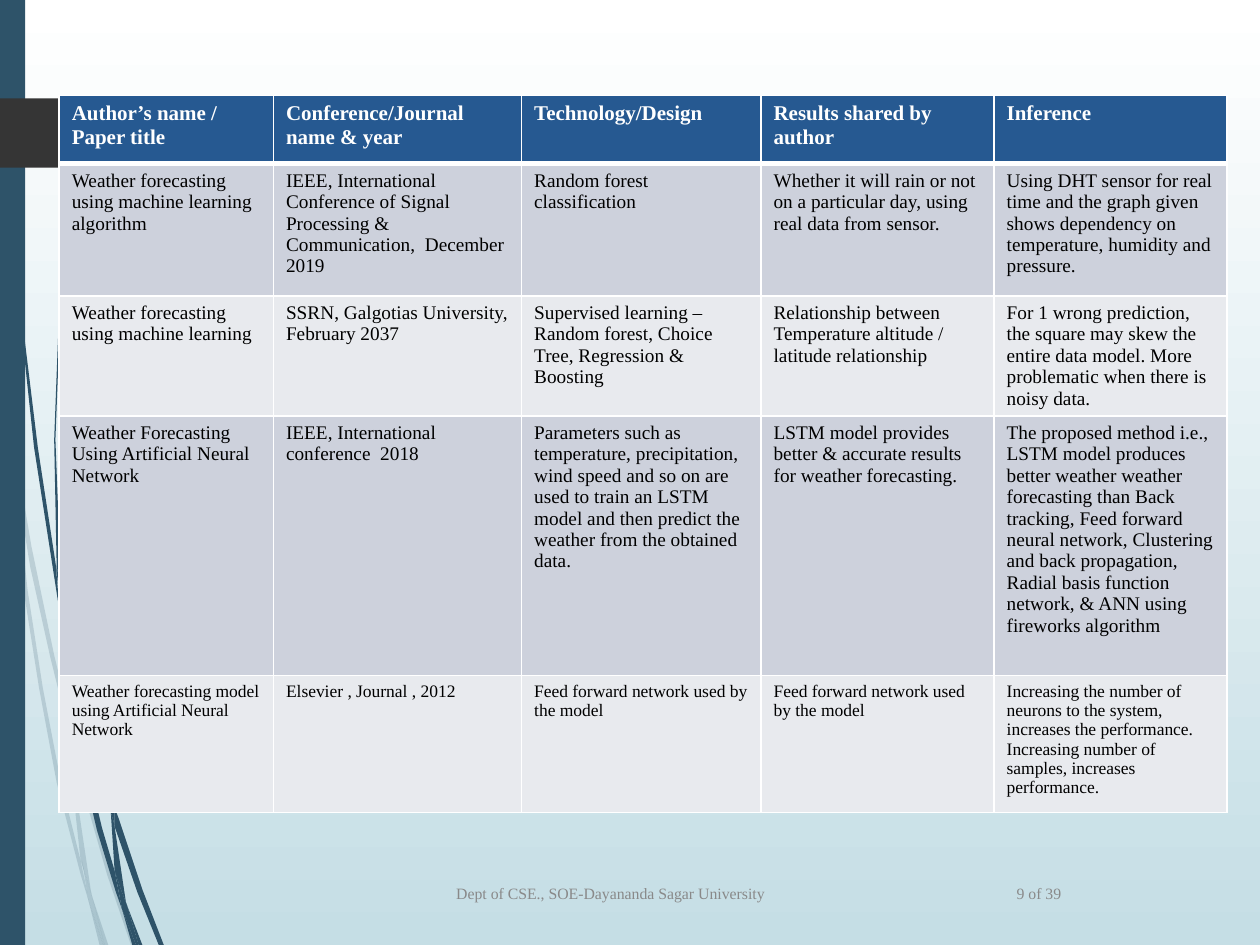
from lxml import etree
from pptx import Presentation
from pptx.dml.color import RGBColor
from pptx.enum.shapes import MSO_SHAPE
from pptx.enum.text import MSO_ANCHOR, PP_ALIGN
from pptx.oxml.ns import qn
from pptx.util import Pt

PX = 9144  # 100 px to the inch
FONT = "Times New Roman"
RECTANGLE = MSO_SHAPE.RECTANGLE
MIDDLE = MSO_ANCHOR.MIDDLE
CENTER = PP_ALIGN.CENTER

WHITE = RGBColor(0xFF, 0xFF, 0xFF)
BLACK = RGBColor(0, 0, 0)
SKY = RGBColor(0xC5, 0xDE, 0xE5)
TEAL = RGBColor(0x2E, 0x53, 0x69)
CHARCOAL = RGBColor(0x35, 0x35, 0x35)
GRAY = RGBColor(0x89, 0x89, 0x89)
HEADER = RGBColor(0x26, 0x59, 0x91)
BANDS = (RGBColor(0xCD, 0xD1, 0xDC), RGBColor(0xE8, 0xEA, 0xEE))

PALE_STRANDS = [
    [(8, 350), (6, 322), (0, 282), (0, 299), (7, 344)],
    [(40, 522), (59, 599), (59, 586), (43, 520), (25, 434), (10, 345), (12, 376), (24, 450)],
    [(64, 607), (61, 596), (61, 610), (85, 694), (104, 750), (108, 750), (88, 692)],
    [(83, 750), (86, 750), (73, 711)],
    [(64, 683), (48, 619), (34, 546), (22, 469), (12, 376), (8, 350), (12, 410), (19, 470),
     (31, 546), (45, 621), (64, 694), (70, 714), (69, 707)],
    [(58, 599), (60, 646), (64, 683), (67, 692), (73, 711), (72, 706), (63, 646), (61, 610),
     (61, 608)],
    [(61, 584), (65, 522), (76, 462), (111, 349), (159, 245), (187, 198), (201, 175),
     (217, 154), (217, 153), (201, 175), (186, 197), (158, 244), (110, 348), (75, 461),
     (64, 522), (59, 584), (59, 586), (61, 596)],
    [(70, 714), (79, 750), (82, 750)],
    [(61, 608), (61, 610), (61, 596), (59, 586), (58, 599)],
    [(67, 692), (65, 683), (69, 707), (70, 714), (82, 750), (83, 750), (73, 711)],
]
DARK_STRANDS = [
    [(5, 110), (14, 233), (27, 355), (46, 477), (47, 481), (45, 457), (45, 453), (30, 355),
     (15, 232), (6, 109), (4, 48), (3, 0), (2, 0), (3, 48)],
    [(73, 592), (88, 645), (88, 633), (88, 631), (77, 590), (62, 532), (50, 472), (53, 505),
     (62, 549)],
    [(94, 649), (91, 641), (91, 656), (109, 708), (126, 750), (130, 750), (113, 706)],
    [(91, 691), (81, 657), (69, 607), (60, 556), (53, 505), (47, 477), (56, 557), (65, 608),
     (77, 659), (92, 708), (97, 722), (96, 717)],
    [(50, 472), (48, 453), (44, 349), (48, 244), (52, 193), (58, 141), (51, 193), (47, 244),
     (43, 349), (45, 449), (49, 472)],
    [(110, 750), (113, 750), (101, 719)],
    [(47, 477), (53, 505), (50, 472), (49, 472), (45, 449), (45, 453)],
    [(91, 633), (95, 592), (103, 552), (131, 476), (169, 406), (191, 374), (203, 359),
     (216, 344), (215, 344), (203, 358), (191, 373), (168, 405), (129, 474), (101, 551),
     (92, 591), (88, 631), (91, 641)],
    [(97, 722), (105, 750), (108, 750)],
    [(88, 645), (91, 691), (96, 706), (101, 719), (100, 716), (91, 656), (90, 651)],
    [(88, 645), (90, 651), (91, 656), (91, 641), (88, 631), (88, 633)],
    [(96, 706), (91, 691), (96, 717), (97, 722), (108, 750), (110, 750), (101, 719)],
]
PAGE_TAB = [(0, 78), (121, 78), (124, 79), (149, 104), (149, 107), (124, 132), (121, 133),
            (0, 133)]

COLUMN_WIDTHS = (170, 197, 190, 185, 185)
ROW_HEIGHTS = (54, 105, 94, 206, 109)
ROW_SIZES = (12, 11, 11, 11, 10)
PAPERS = [
    ["Author’s name / Paper title", "Conference/Journal name & year", "Technology/Design",
     "Results shared by author", "Inference"],
    ["Weather forecasting using machine learning algorithm",
     "IEEE, International Conference of Signal Processing & Communication,  December 2019",
     "Random forest classification",
     "Whether it will rain or not on a particular day, using real data from sensor.",
     "Using DHT sensor for real time and the graph given shows dependency on temperature, "
     "humidity and pressure."],
    ["Weather forecasting using machine learning",
     "SSRN, Galgotias University, February 2037",
     "Supervised learning – Random forest, Choice Tree, Regression & Boosting",
     "Relationship between Temperature altitude / latitude relationship",
     "For 1 wrong prediction, the square may skew the entire data model. More problematic "
     "when there is noisy data."],
    ["Weather Forecasting Using Artificial Neural Network",
     "IEEE, International conference  2018",
     "Parameters such as temperature, precipitation, wind speed and so on are used to train "
     "an LSTM model and then predict the weather from the obtained data.",
     "LSTM model provides better & accurate results for weather forecasting.",
     "The proposed method i.e., LSTM model produces better weather weather forecasting than "
     "Back tracking, Feed forward neural network, Clustering and back propagation, Radial "
     "basis function network, & ANN using fireworks algorithm"],
    ["Weather forecasting model using Artificial Neural Network",
     "Elsevier , Journal , 2012",
     "Feed forward network used by the model",
     "Feed forward network used by the model",
     "Increasing the number of neurons to the system, increases the performance.\n"
     "Increasing number of samples, increases performance."],
]


class SlideBuilder:
    def __init__(self, slide, font):
        self.slide = slide
        self.shapes = slide.shapes
        self.font = font

    def background(self, top, bottom):
        fill = self.slide.background.fill
        fill.gradient()
        fill.gradient_angle = 270
        for stop, color in zip(fill.gradient_stops, (top, bottom)):
            stop.color.rgb = color

    def paint(self, shape, color, opacity=100):
        shape.shadow.inherit = False
        shape.fill.solid()
        shape.fill.fore_color.rgb = color
        shape.line.fill.background()
        if opacity < 100:
            color_node = shape._element.spPr.find(f"{qn('a:solidFill')}/{qn('a:srgbClr')}")
            etree.SubElement(color_node, qn("a:alpha"), val=str(opacity * 1000))

    def rectangle(self, left, top, width, height, color):
        shape = self.shapes.add_shape(RECTANGLE, left * PX, top * PX, width * PX, height * PX)
        self.paint(shape, color)

    def outline(self, points, color, opacity=100):
        builder = self.shapes.build_freeform(*points[0], scale=PX)
        builder.add_line_segments(points[1:], close=True)
        self.paint(builder.convert_to_shape(), color, opacity)

    def set_text(self, frame, text, size, color, bold=False, align=None):
        frame.text = text
        for para in frame.paragraphs:
            para.alignment = align
            para.font.name = self.font
            para.font.size = Pt(size)
            para.font.color.rgb = color
            para.font.bold = bold

    def label(self, left, top, width, height, text):
        box = self.shapes.add_textbox(left * PX, top * PX, width * PX, height * PX)
        box.text_frame.word_wrap = True
        box.text_frame.vertical_anchor = MIDDLE
        self.set_text(box.text_frame, text, 9, GRAY, align=CENTER)

    def cell_borders(self, cell, top, bottom):
        """Draw white edges; top and bottom are widths in points."""
        properties = cell._tc.get_or_add_tcPr()
        edges = (("L", 1), ("R", 1), ("T", top), ("B", bottom))
        for position, (side, width) in enumerate(edges):
            line = etree.Element(qn(f"a:ln{side}"), w=str(int(Pt(width))))
            fill = etree.SubElement(line, qn("a:solidFill"))
            etree.SubElement(fill, qn("a:srgbClr"), val=str(WHITE))
            properties.insert(position, line)

    def table(self, left, top, widths, heights, sizes, rows):
        table = self.shapes.add_table(len(rows), len(widths), left * PX, top * PX,
                                      sum(widths) * PX, sum(heights) * PX).table
        for column, width in zip(table.columns, widths):
            column.width = width * PX
        for r, (texts, height, size) in enumerate(zip(rows, heights, sizes)):
            table.rows[r].height = height * PX
            is_header = r == 0
            for c, text in enumerate(texts):
                cell = table.cell(r, c)
                cell.fill.solid()
                cell.fill.fore_color.rgb = HEADER if is_header else BANDS[(r - 1) % 2]
                self.cell_borders(cell, 3 if r == 1 else 1, 3 if is_header else 1)
                self.set_text(cell.text_frame, text, size, WHITE if is_header else BLACK,
                              bold=is_header)


def main():
    deck = Presentation()
    deck.slide_width, deck.slide_height = 1000 * PX, 750 * PX
    page = SlideBuilder(deck.slides.add_slide(deck.slide_layouts[6]), FONT)
    page.background(WHITE, SKY)
    for strand in PALE_STRANDS:
        page.outline(strand, TEAL, opacity=18)
    for strand in DARK_STRANDS:
        page.outline(strand, TEAL)
    page.rectangle(0, 0, 20, 750, TEAL)
    page.outline(PAGE_TAB, CHARCOAL)
    page.table(47, 76, COLUMN_WIDTHS, ROW_HEIGHTS, ROW_SIZES, PAPERS)
    page.label(218, 689, 533, 40, "Dept of CSE., SOE-Dayananda Sagar University")
    page.label(782, 689, 85, 40, "9 of 39")
    deck.save("out.pptx")


if __name__ == "__main__":
    main()
